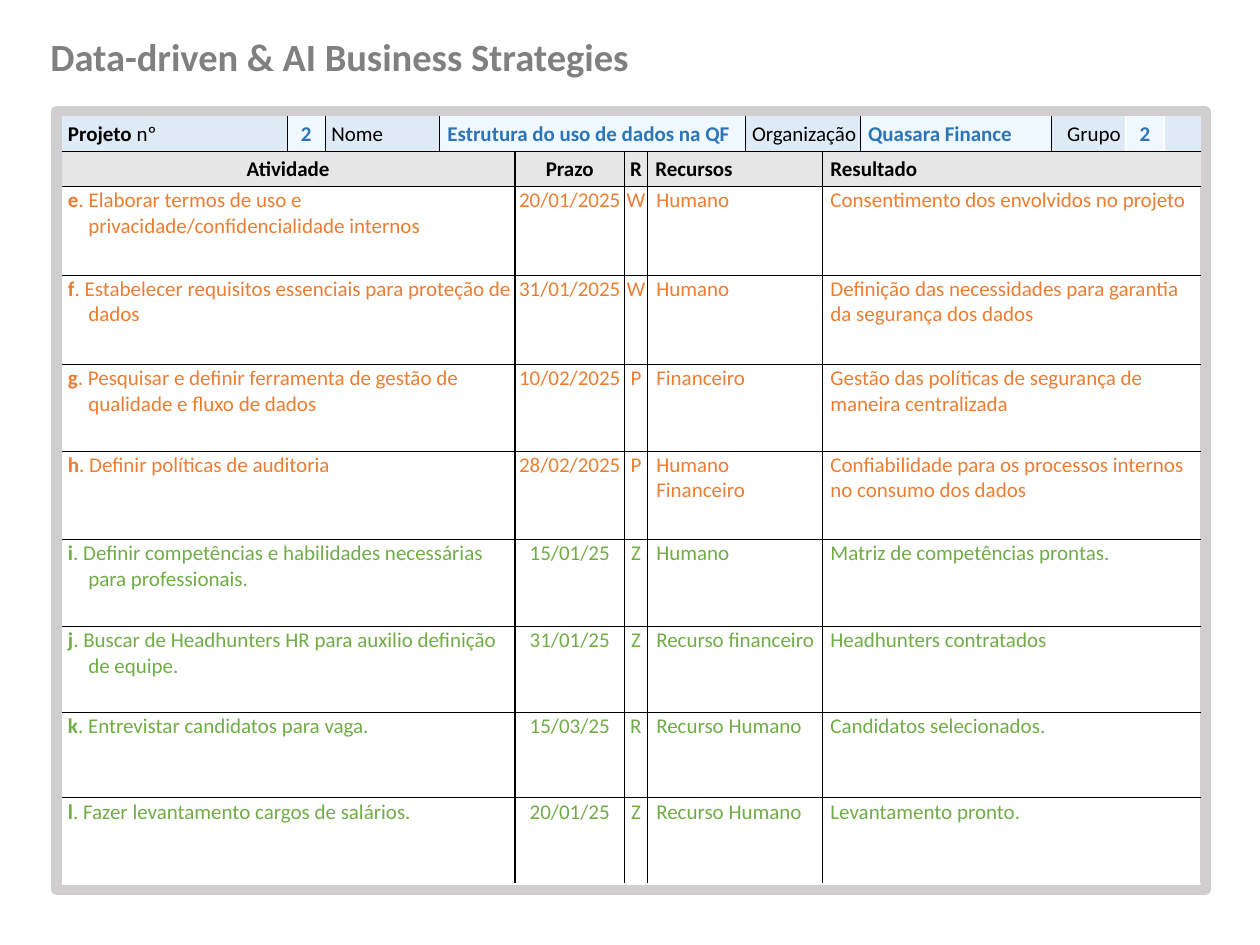
from pptx import Presentation
from pptx.dml.color import RGBColor
from pptx.enum.shapes import MSO_SHAPE
from pptx.enum.text import MSO_ANCHOR, MSO_AUTO_SIZE, PP_ALIGN
from pptx.oxml.ns import qn
from pptx.util import Cm, Pt
from lxml.etree import SubElement

BLACK, WHITE, BLUE = "000000", "FFFFFF", "2E75B6"
ORANGE, GREEN = "ED7D31", "70AD47"
LABEL, VALUE, HEADING = "DEEBF7", "EFF7FF", "E7E6E6"
THIN, THICK = 0.25, 1
INDENT = 0.13

COLUMNS = [4.55, 0.76, 2.31, 1.52, 2.21, 0.46, 1.98, 1.55, 0.76, 3.86, 1.5, 0.76, 0.76]
ROWS = [0.71, 0.71, 1.78, 1.8, 1.75, 1.78, 1.75, 1.73, 1.73, 1.73]
BODY_SPANS = [(0, 4), (4, 1), (5, 1), (6, 2), (8, 5)]

NO_LINE = (BLACK, 0)
THIN_LINE = (BLACK, THIN)
THICK_LINE = (BLACK, THICK)
WHITE_LINE = (WHITE, THICK)

PROJECT = [
    (0, 1, [("Projeto ", True), ("nº", False)], False, 0.1, THIN_LINE),
    (1, 1, [("2", True)], True, None, THIN_LINE),
    (2, 1, [("Nome", False)], False, 0.1, THIN_LINE),
    (3, 4, [("Estrutura do uso de dados na QF", True)], True, INDENT, THICK_LINE),
    (7, 2, [("Organização", False)], False, 0.1, THIN_LINE),
    (9, 1, [("Quasara Finance", True)], True, INDENT, THICK_LINE),
    (10, 1, [("Grupo", False)], False, 0.28, WHITE_LINE),
    (11, 1, [("2", True)], True, None, WHITE_LINE),
    (12, 1, [], False, 0, NO_LINE),
]

HEADINGS = ["Atividade", "Prazo", "R", "Recursos", "Resultado"]
HEADING_INDENTS = [None, None, None, INDENT, INDENT]

ACTIVITIES = [
    ("e", "Elaborar termos de uso e privacidade/confidencialidade internos",
     "20/01/2025", "W", ["Humano"], "Consentimento dos envolvidos no projeto", ORANGE),
    ("f", "Estabelecer requisitos essenciais para proteção de dados",
     "31/01/2025", "W", ["Humano"],
     "Definição das necessidades para garantia da segurança dos dados", ORANGE),
    ("g", "Pesquisar e definir ferramenta de gestão de qualidade e fluxo de dados",
     "10/02/2025", "P", ["Financeiro"],
     "Gestão das políticas de segurança de maneira centralizada", ORANGE),
    ("h", "Definir políticas de auditoria", "28/02/2025", "P", ["Humano", "Financeiro"],
     "Confiabilidade para os processos internos no consumo dos dados", ORANGE),
    ("i", "Definir competências e habilidades necessárias para professionais.",
     "15/01/25", "Z", ["Humano"], "Matriz de competências prontas.", GREEN),
    ("j", "Buscar de Headhunters HR para auxilio definição de equipe.",
     "31/01/25", "Z", ["Recurso financeiro"], "Headhunters contratados", GREEN),
    ("k", "Entrevistar candidatos para vaga.", "15/03/25", "R", ["Recurso Humano"],
     "Candidatos selecionados.", GREEN),
    ("l", "Fazer levantamento cargos de salários.", "20/01/25", "Z", ["Recurso Humano"],
     "Levantamento pronto.", GREEN),
]


def color(value):
    return RGBColor.from_string(value)


def add_title(page):
    box = page.shapes.title
    box.left, box.top, box.width, box.height = Cm(0.76), Cm(0.53), Cm(13.9), Cm(1.19)
    frame = box.text_frame
    frame.text = "Data-driven & AI Business Strategies"
    frame.word_wrap = False
    frame.auto_size = MSO_AUTO_SIZE.NONE
    frame.vertical_anchor = MSO_ANCHOR.MIDDLE
    para = frame.paragraphs[0]
    para.alignment = PP_ALIGN.LEFT
    font = para.font
    font.name, font.size, font.bold = "Calibri", Pt(22), True
    font.color.rgb = color("808080")


def add_frame(page):
    box = page.shapes.add_shape(MSO_SHAPE.RECTANGLE, Cm(1.14), Cm(2.24), Cm(23.16), Cm(15.7))
    box.shadow.inherit = False
    box.fill.background()
    box.line.color.rgb = color("D0CECE")
    box.line.width = Pt(6)


def set_borders(cell, **lines):
    properties = cell._tc.get_or_add_tcPr()
    for side in "LRTB":
        shade, width = lines.get(side, NO_LINE)
        line = SubElement(properties, qn("a:ln" + side), w=str(Pt(width)))
        if width:
            fill = SubElement(line, qn("a:solidFill"))
            SubElement(fill, qn("a:srgbClr"), val=shade)
        else:
            SubElement(line, qn("a:noFill"))


def write_paragraph(para, spans, shade, indent, hanging):
    para.font.name, para.font.size = "Calibri", Pt(12)
    para.font.color.rgb = color(shade)
    para.alignment = PP_ALIGN.CENTER if indent is None else PP_ALIGN.LEFT
    properties = para._p.get_or_add_pPr()
    properties.set("marL", str(Cm(indent or 0)))
    properties.set("indent", str(Cm(-hanging)))
    for text, bold in spans:
        span = para.add_run()
        span.text = text
        span.font.bold = bold


def fill_cell(table, row, column, width, paragraphs, shade, indent, fill=None,
              hanging=0, left=NO_LINE, right=NO_LINE, top=NO_LINE, bottom=NO_LINE):
    last = column + width - 1
    for position in range(column, last + 1):
        edges = {"T": top, "B": bottom}
        if position == column:
            edges["L"] = left
        if position == last:
            edges["R"] = right
        set_borders(table.cell(row, position), **edges)
    cell = table.cell(row, column)
    if width > 1:
        cell.merge(table.cell(row, last))
    cell.margin_left = cell.margin_right = cell.margin_top = Cm(0.03)
    cell.margin_bottom = 0
    if fill:
        cell.vertical_anchor = MSO_ANCHOR.MIDDLE
        cell.fill.solid()
        cell.fill.fore_color.rgb = color(fill)
    else:
        cell.fill.background()
    frame = cell.text_frame
    for number, spans in enumerate(paragraphs):
        para = frame.add_paragraph() if number else frame.paragraphs[0]
        write_paragraph(para, spans, shade, indent, hanging)


def fill_project_row(table):
    left = NO_LINE
    for column, width, spans, is_value, indent, right in PROJECT:
        fill_cell(table, 0, column, width, [spans], BLUE if is_value else BLACK, indent,
                  VALUE if is_value else LABEL, left=left, right=right, bottom=THICK_LINE)
        left = right


def side_lines(column, width):
    return {"left": THICK_LINE if column else NO_LINE,
            "right": THICK_LINE if column + width < len(COLUMNS) else NO_LINE}


def fill_heading_row(table):
    for (column, width), text, indent in zip(BODY_SPANS, HEADINGS, HEADING_INDENTS):
        fill_cell(table, 1, column, width, [[(text, True)]], BLACK, indent, HEADING,
                  top=THICK_LINE, bottom=THIN_LINE, **side_lines(column, width))


def fill_activity_row(table, row, activity):
    letter, task, deadline, owner, resources, result, shade = activity
    contents = [
        ([[(letter, True), (". " + task, False)]], 0.51, 0.41),
        ([[(deadline, False)]], None, 0),
        ([[(owner, False)]], None, 0),
        ([[(resource, False)] for resource in resources], 0.15, 0),
        ([[(result, False)]], INDENT, 0),
    ]
    bottom = (WHITE, THIN) if row == len(ROWS) - 1 else THIN_LINE
    for (column, width), (paragraphs, indent, hanging) in zip(BODY_SPANS, contents):
        fill_cell(table, row, column, width, paragraphs, shade, indent, hanging=hanging,
                  top=THIN_LINE, bottom=bottom, **side_lines(column, width))


def add_plan(page):
    table = page.shapes.add_table(len(ROWS), len(COLUMNS), Cm(1.24), Cm(2.34),
                                  Cm(sum(COLUMNS)), Cm(sum(ROWS))).table
    table.first_row = table.horz_banding = False
    for column, width in zip(table.columns, COLUMNS):
        column.width = Cm(width)
    for row, height in zip(table.rows, ROWS):
        row.height = Cm(height)
    fill_project_row(table)
    fill_heading_row(table)
    for row, activity in enumerate(ACTIVITIES, start=2):
        fill_activity_row(table, row, activity)


def main():
    deck = Presentation()
    deck.slide_width, deck.slide_height = Cm(25.4), Cm(19.05)
    page = deck.slides.add_slide(deck.slide_layouts[5])
    add_frame(page)
    add_title(page)
    add_plan(page)
    deck.save("out.pptx")


if __name__ == "__main__":
    main()
